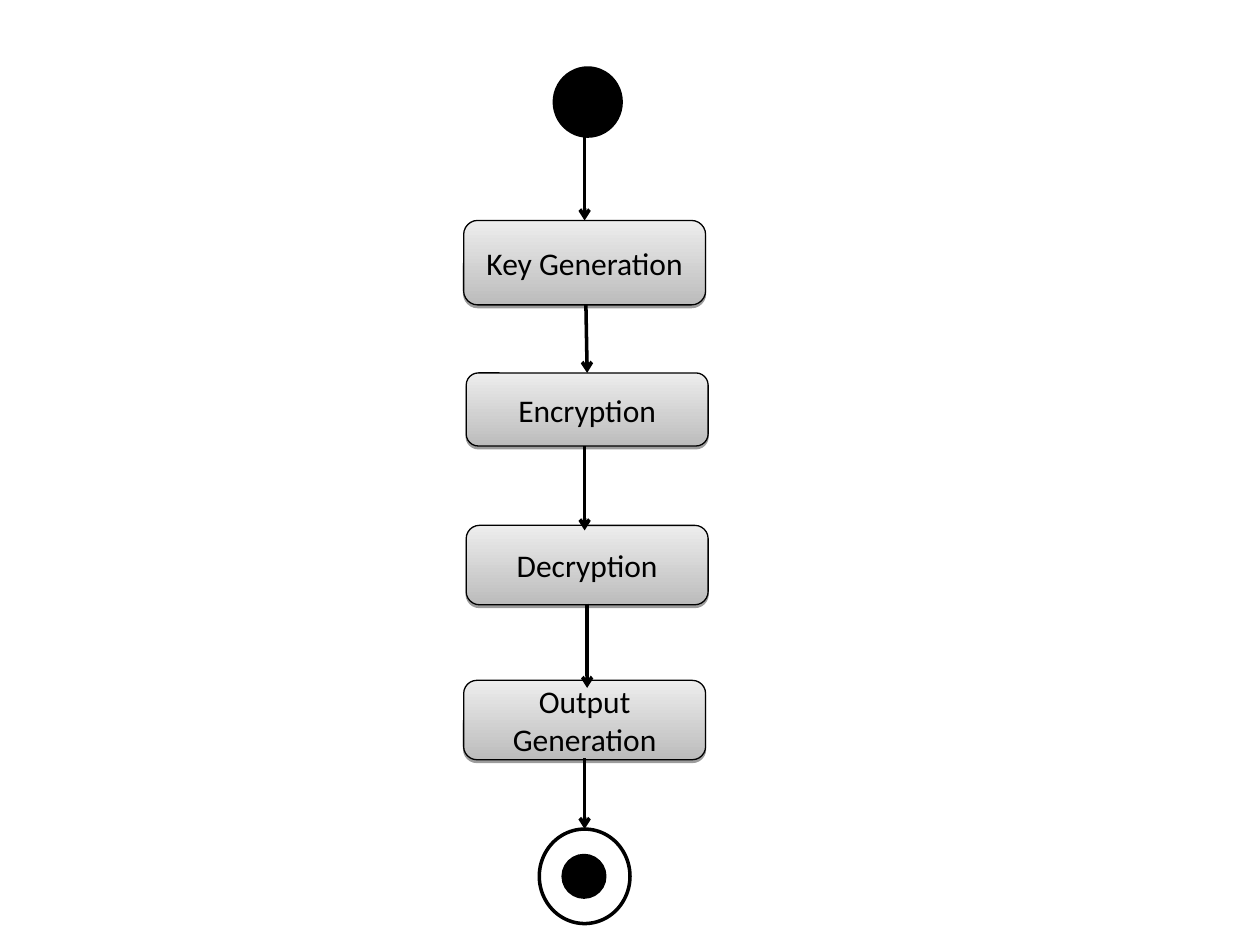
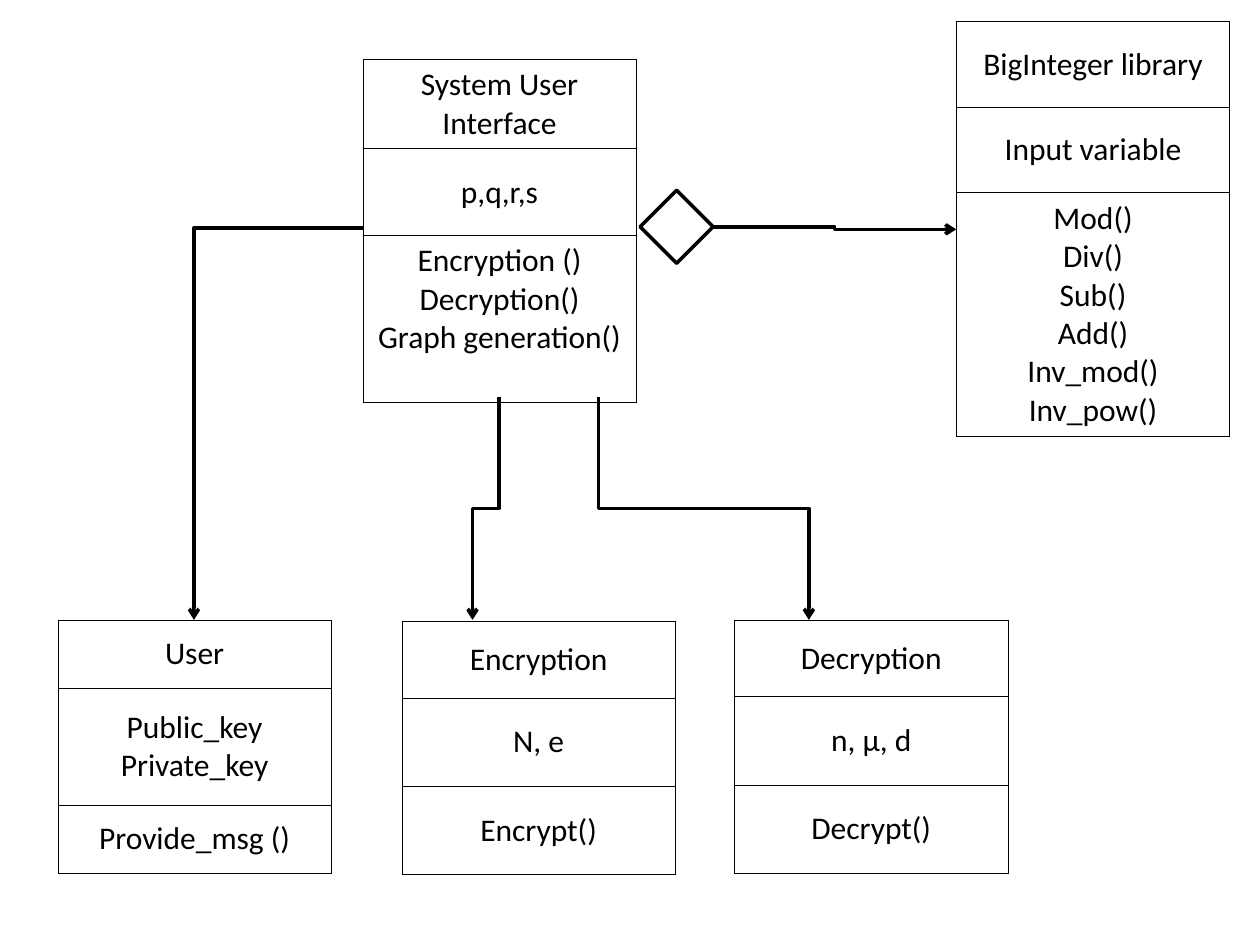
from lxml.etree import SubElement
from pptx import Presentation
from pptx.dml.color import RGBColor
from pptx.enum.shapes import MSO_CONNECTOR, MSO_SHAPE
from pptx.enum.text import MSO_ANCHOR, PP_ALIGN
from pptx.oxml import parse_xml
from pptx.oxml.ns import nsdecls, qn
from pptx.util import Inches, Pt

# Shared look
INK, PAPER, LIGHT, DARK = "000000", "FFFFFF", "EDEDED", "BCBCBC"
FONT, SIZE = "Calibri", Pt(18)
THICK, THIN, HAIR = Pt(2), Pt(0.75), Pt(0.45)
STRAIGHT, ELBOW = MSO_CONNECTOR.STRAIGHT, MSO_CONNECTOR.ELBOW


def paint(target, code):
    """Give a fill or a line a solid colour."""
    fill = getattr(target, "fill", target)
    fill.solid()
    fill.fore_color.rgb = RGBColor.from_string(code)


def wire(slide, kind, x1, y1, x2, y2, down=False):
    """Draw an arrow; down makes an elbow leave and arrive vertically."""
    if down:
        midx, midy = (x1 + x2) / 2, (y1 + y2) / 2
        long, wide = (y2 - y1) / 2, (x2 - x1) / 2
        x1, y1, x2, y2 = midx - long, midy + wide, midx + long, midy - wide
    link = slide.shapes.add_connector(kind, *map(Inches, (x1, y1, x2, y2)))
    paint(link.line, INK)
    link.line.width = THICK
    props = link._element.spPr
    SubElement(props.find(qn("a:ln")), qn("a:tailEnd"), type="arrow")
    SubElement(props, qn("a:effectLst"))
    if down:
        props.find(qn("a:xfrm")).set("rot", str(90 * 60000))
    return link


deck = Presentation()
deck.slide_width, deck.slide_height = Inches(10), Inches(7.5)
blank = deck.slide_layouts[6]
flow = deck.slides.add_slide(blank)
model = deck.slides.add_slide(blank)

# Start dot, end ring and end dot of the flow; diamond of the class model
marks = [
    (flow, MSO_SHAPE.OVAL, 4.4, 0.54, 0.53, 0.54, INK),
    (flow, MSO_SHAPE.OVAL, 4.28, 6.58, 0.72, 0.75, PAPER),
    (flow, MSO_SHAPE.OVAL, 4.47, 6.79, 0.33, 0.33, INK),
    (model, MSO_SHAPE.DIAMOND, 5.08, 1.51, 0.58, 0.58, PAPER),
]
for slide, form, *place, code in marks:
    mark = slide.shapes.add_shape(form, *map(Inches, place))
    mark.shadow.inherit = False
    paint(mark, code)
    paint(mark.line, INK)
    mark.line.width = THICK

# Steps of the flow
steps = [
    ("Key Generation", 3.68, 1.75, 0.67),
    ("Encryption", 3.7, 2.96, 0.58),
    ("Decryption", 3.7, 4.17, 0.63),
    ("Output Generation", 3.68, 5.4, 0.63),
]
for label, left, top, high in steps:
    step = flow.shapes.add_shape(
        MSO_SHAPE.ROUNDED_RECTANGLE, *map(Inches, (left, top, 1.92, high)))
    step.fill.gradient()
    step.fill.gradient_angle = 90
    for stop, code in zip(step.fill.gradient_stops, (DARK, LIGHT)):
        stop.color.rgb = RGBColor.from_string(code)
    paint(step.line, INK)
    step.line.width = THIN
    step.shadow.inherit = False
    step._element.spPr.find(qn("a:effectLst")).append(parse_xml(
        f'<a:outerShdw {nsdecls("a")} dist="{Pt(1.6)}" dir="5400000" '
        f'rotWithShape="0"><a:srgbClr val="{INK}"><a:alpha val="38000"/>'
        '</a:srgbClr></a:outerShdw>'))
    frame = step.text_frame
    frame.word_wrap = True
    frame.vertical_anchor = MSO_ANCHOR.MIDDLE
    frame.text = label
    line = frame.paragraphs[0]
    line.alignment = PP_ALIGN.CENTER
    font = line.runs[0].font
    font.name, font.size = FONT, SIZE
    paint(font, INK)

# Arrows of the flow
for x1, y1, x2, y2 in [
    (4.64, 1.08, 4.64, 1.75),
    (4.65, 2.42, 4.66, 2.96),
    (4.64, 3.54, 4.64, 4.21),
    (4.66, 4.79, 4.66, 5.46),
    (4.64, 6.02, 4.64, 6.58),
]:
    wire(flow, STRAIGHT, x1, y1, x2, y2)

# Classes: left, top, row heights, then name, fields and methods
classes = [
    (0.46, 4.92, (0.54, 0.93, 0.54),
     ("User", "Public_key\nPrivate_key", "Provide_msg ()")),
    (2.88, 0.47, (0.7, 0.69, 1.32),
     ("System User Interface", "p,q,r,s",
      "Encryption ()\nDecryption()\nGraph generation()")),
    (3.19, 4.93, (0.61, 0.7, 0.7), ("Encryption", "N, e", "Encrypt()")),
    (7.59, 0.17, (0.68, 0.68, 1.93),
     ("BigInteger library", "Input variable",
      "Mod()\nDiv()\nSub()\nAdd()\nInv_mod()\nInv_pow()")),
    (5.83, 4.92, (0.61, 0.7, 0.7), ("Decryption", "n, µ, d", "Decrypt()")),
]
for left, top, highs, texts in classes:
    grid = model.shapes.add_table(
        3, 1, *map(Inches, (left, top, 2.17, sum(highs)))).table
    grid.first_row = grid.horz_banding = False
    for row, high, text in zip(grid.rows, highs, texts):
        row.height = Inches(high)
        cell = row.cells[0]
        cell.text = text
        # The methods of the interface leave room below them
        roomy = text.startswith("Encryption ()")
        cell.vertical_anchor = MSO_ANCHOR.TOP if roomy else MSO_ANCHOR.MIDDLE
        for line in cell.text_frame.paragraphs:
            line.alignment = PP_ALIGN.CENTER
            for run in line.runs:
                run.font.name, run.font.size = FONT, SIZE
                paint(run.font, INK)
        props = cell._tc.get_or_add_tcPr()
        for side in ("lnL", "lnR", "lnT", "lnB"):
            edge = SubElement(props, qn(f"a:{side}"), w=str(HAIR))
            solid = SubElement(edge, qn("a:solidFill"))
            SubElement(solid, qn("a:srgbClr"), val=INK)
        cell.fill.background()

# Links between the classes
corner = wire(model, ELBOW, 2.88, 1.81, 1.54, 4.92)
corner._element.spPr.find(qn("a:prstGeom")).set("prst", "bentConnector2")
wire(model, ELBOW, 5.66, 1.8, 7.59, 1.82)
wire(model, ELBOW, 3.96, 3.15, 3.75, 4.92, down=True)
wire(model, ELBOW, 4.75, 3.15, 6.42, 4.92, down=True)

deck.save("out.pptx")
